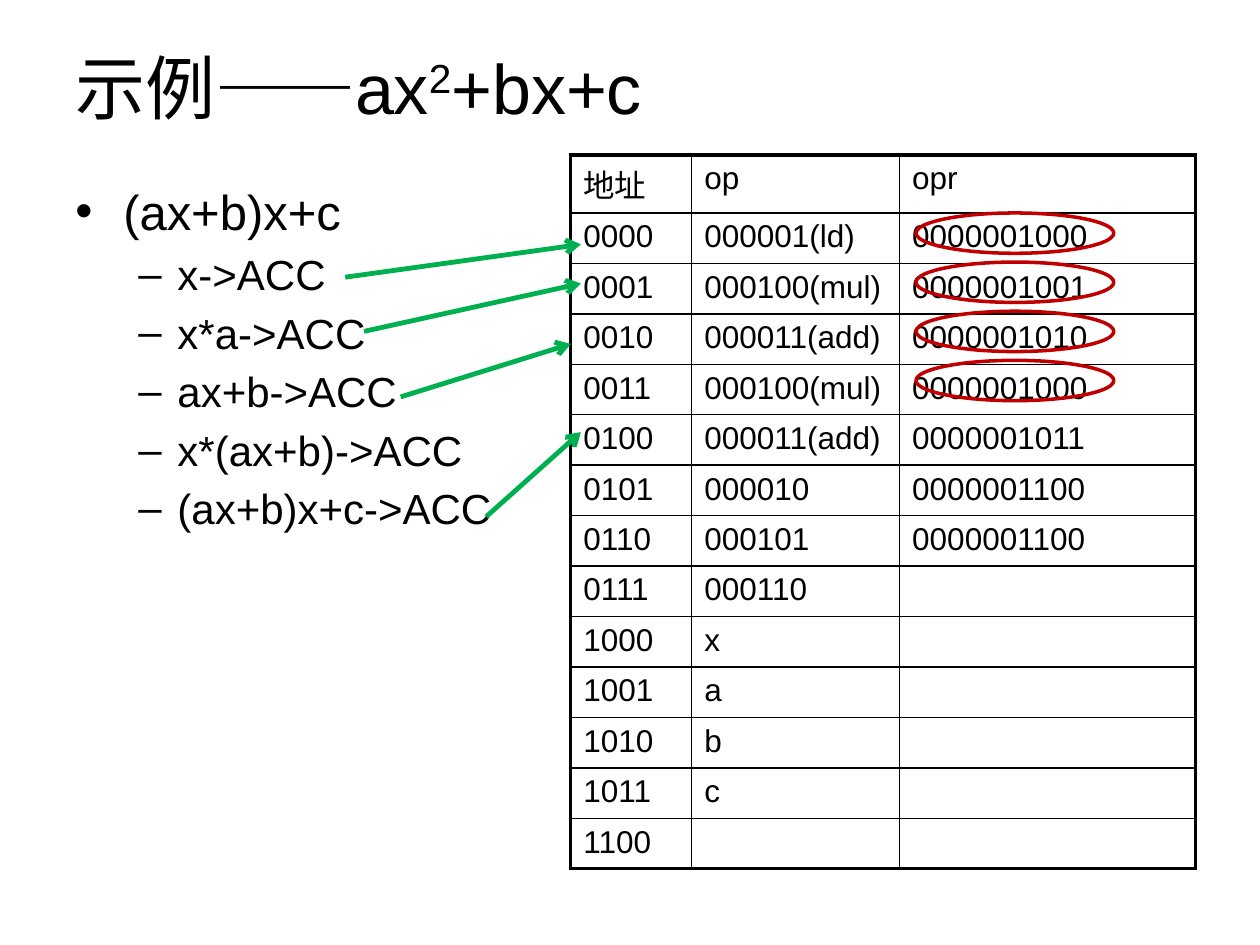
from dataclasses import dataclass

import lxml.etree
import pptx
import pptx.dml.color
import pptx.enum.shapes
import pptx.enum.text
import pptx.oxml.ns
import pptx.util
from pptx.util import Inches

qn = pptx.oxml.ns.qn


@dataclass(frozen=True)
class Theme:
    font: str = "Arial"
    ink: str = "000000"
    arrow: str = "00B050"
    ring: str = "C00000"
    title_size: float = 40
    formula_size: float = 28
    step_size: float = 24
    cell_size: float = 18
    step_gap: float = 4.7
    thin: float = 1
    thick: float = 2.25
    arrow_width: float = 2.75
    ring_width: float = 2


@dataclass(frozen=True)
class Arrow:
    start: tuple[float, float]
    end: tuple[float, float]


THEME = Theme()

STEPS = ["x->ACC", "x*a->ACC", "ax+b->ACC", "x*(ax+b)->ACC", "(ax+b)x+c->ACC"]

HEADER = ("地址", "op", "opr")
MEMORY = [
    ("000001(ld)", "0000001000"),
    ("000100(mul)", "0000001001"),
    ("000011(add)", "0000001010"),
    ("000100(mul)", "0000001000"),
    ("000011(add)", "0000001011"),
    ("000010", "0000001100"),
    ("000101", "0000001100"),
    ("000110", ""),
    ("x", ""),
    ("a", ""),
    ("b", ""),
    ("c", ""),
    ("", ""),
]
COLUMN_WIDTHS = (0.96, 1.65, 2.35)
HEADER_HEIGHT = 0.46
ROW_HEIGHT = 0.4

ARROWS = [
    Arrow((2.74, 2.2), (4.61, 1.94)),
    Arrow((2.89, 2.63), (4.61, 2.25)),
    Arrow((3.18, 3.15), (4.53, 2.73)),
    Arrow((3.86, 4.1), (4.61, 3.43)),
]
RING_COUNT = 4
RING_PITCH = 0.39


def rgb(color: str) -> pptx.dml.color.RGBColor:
    return pptx.dml.color.RGBColor.from_string(color)


def write(paragraph, text: str, *, size: float, color: str = THEME.ink, raised: int = 0) -> None:
    run = paragraph.add_run()
    run.text = text
    run.font.name = THEME.font
    run.font.size = pptx.util.Pt(size)
    run.font.bold = False
    run.font.color.rgb = rgb(color)
    if raised:
        run.font._element.set("baseline", str(raised * 1000))


def add_frame(slide, left: float, top: float, width: float, height: float):
    frame = slide.shapes.add_textbox(
        Inches(left), Inches(top), Inches(width), Inches(height)
    ).text_frame
    frame.word_wrap = True
    return frame


def set_bullet(paragraph, mark: str, margin: float, hanging: float) -> None:
    properties = paragraph._p.get_or_add_pPr()
    properties.set("marL", str(Inches(margin)))
    properties.set("indent", str(-Inches(hanging)))
    font = lxml.etree.SubElement(properties, qn("a:buFont"))
    font.set("typeface", THEME.font)
    lxml.etree.SubElement(properties, qn("a:buChar")).set("char", mark)


def add_title(slide) -> None:
    frame = add_frame(slide, 0.5, 0.3, 9, 0.77)
    frame.vertical_anchor = pptx.enum.text.MSO_ANCHOR.MIDDLE
    title = frame.paragraphs[0]
    for text, raised in (("示例——ax", 0), ("2", 30), ("+bx+c", 0)):
        write(title, text, size=THEME.title_size, raised=raised)


def add_steps(slide) -> None:
    frame = add_frame(slide, 0.5, 1.39, 4.42, 3.39)
    formula = frame.paragraphs[0]
    set_bullet(formula, "•", 0.38, 0.38)
    write(formula, "(ax+b)x+c", size=THEME.formula_size)
    for text in STEPS:
        step = frame.add_paragraph()
        step.level = 1
        set_bullet(step, "–", 0.81, 0.31)
        step.space_before = pptx.util.Pt(THEME.step_gap)
        write(step, text, size=THEME.step_size)


def set_borders(cell, outer: dict[str, bool]) -> None:
    properties = cell._tc.get_or_add_tcPr()
    for position, (side, is_outer) in enumerate(outer.items()):
        width = THEME.thick if is_outer else THEME.thin
        border = lxml.etree.Element(qn(f"a:ln{side}"), w=str(pptx.util.Pt(width)))
        fill = lxml.etree.SubElement(border, qn("a:solidFill"))
        lxml.etree.SubElement(fill, qn("a:srgbClr")).set("val", THEME.ink)
        properties.insert(position, border)


def add_memory_table(slide) -> None:
    rows = [HEADER] + [(f"{address:04b}", *words) for address, words in enumerate(MEMORY)]
    last_row, last_column = len(rows) - 1, len(HEADER) - 1
    table = slide.shapes.add_table(
        len(rows), len(HEADER), Inches(4.53), Inches(1.23),
        Inches(sum(COLUMN_WIDTHS)), Inches(HEADER_HEIGHT + ROW_HEIGHT * len(MEMORY)),
    ).table
    table.first_row = False
    table.horz_banding = False
    for column, width in zip(table.columns, COLUMN_WIDTHS):
        column.width = Inches(width)
    for r, words in enumerate(rows):
        table.rows[r].height = Inches(ROW_HEIGHT if r else HEADER_HEIGHT)
        for c, word in enumerate(words):
            cell = table.cell(r, c)
            cell.fill.background()
            set_borders(cell, {
                "L": c == 0, "R": c == last_column, "T": r == 0, "B": r == last_row,
            })
            if word:
                write(cell.text_frame.paragraphs[0], word, size=THEME.cell_size)


def add_arrow(slide, arrow: Arrow) -> None:
    connector = slide.shapes.add_connector(
        pptx.enum.shapes.MSO_CONNECTOR.STRAIGHT,
        *(Inches(value) for value in arrow.start + arrow.end),
    )
    connector.line.color.rgb = rgb(THEME.arrow)
    connector.line.width = pptx.util.Pt(THEME.arrow_width)
    lxml.etree.SubElement(connector.line._get_or_add_ln(), qn("a:tailEnd")).set("type", "arrow")
    lxml.etree.SubElement(connector._element.spPr, qn("a:effectLst"))


def add_ring(slide, top: float) -> None:
    ring = slide.shapes.add_shape(
        pptx.enum.shapes.MSO_SHAPE.OVAL, Inches(7.27), Inches(top), Inches(1.57), Inches(0.32)
    )
    ring.shadow.inherit = False
    ring.fill.background()
    ring.line.color.rgb = rgb(THEME.ring)
    ring.line.width = pptx.util.Pt(THEME.ring_width)


def main() -> None:
    presentation = pptx.Presentation()
    presentation.slide_width = Inches(10)
    presentation.slide_height = Inches(7.5)
    slide = presentation.slides.add_slide(presentation.slide_layouts[6])
    add_title(slide)
    add_steps(slide)
    add_memory_table(slide)
    for arrow in ARROWS:
        add_arrow(slide, arrow)
    for index in range(RING_COUNT):
        add_ring(slide, 1.69 + index * RING_PITCH)
    presentation.save("out.pptx")


if __name__ == "__main__":
    main()
